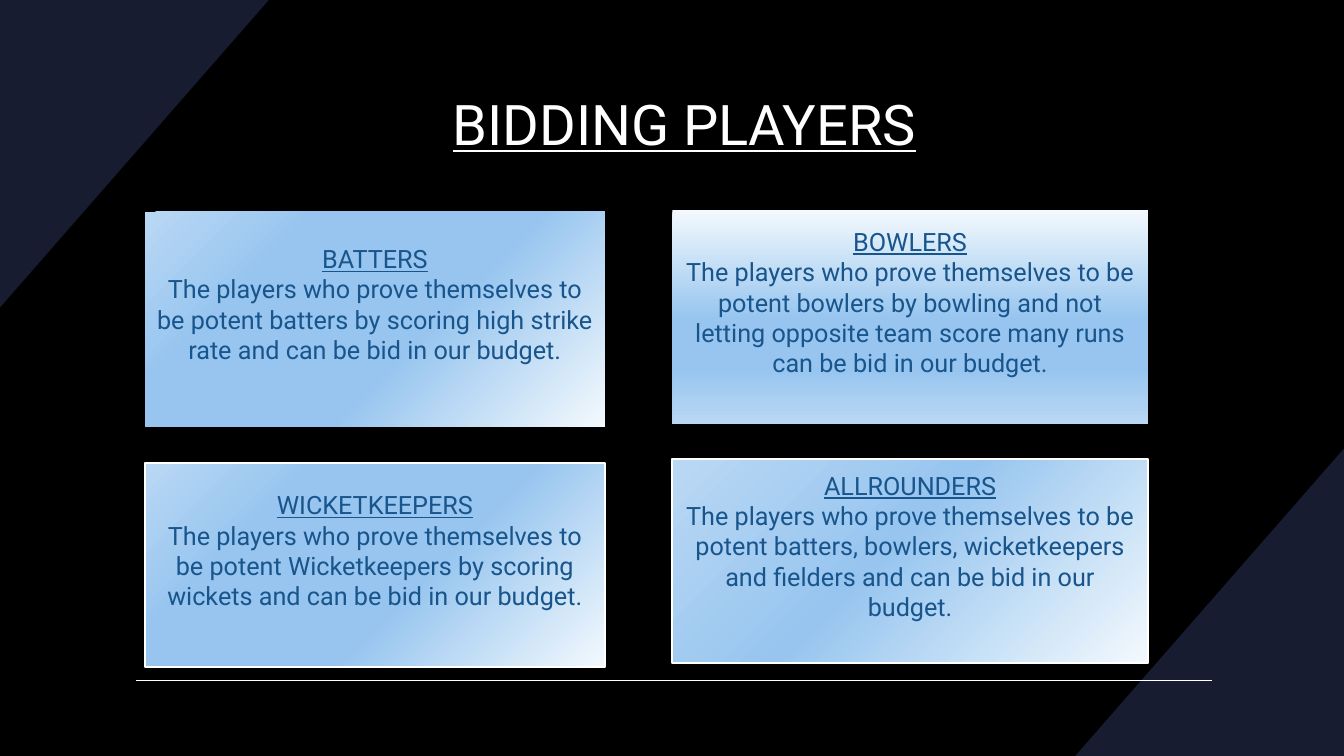
from lxml.etree import SubElement
from pptx import Presentation
from pptx.dml.color import RGBColor
from pptx.enum.shapes import MSO_CONNECTOR as Connector, MSO_SHAPE as Preset
from pptx.enum.text import MSO_ANCHOR as Anchor, PP_ALIGN as Align
from pptx.oxml import parse_xml
from pptx.oxml.ns import nsdecls, qn
from pptx.util import Pt

WIDTH, HEIGHT = 960, 540
LINE_HEIGHT = 21.6


def rgb(value):
    return RGBColor.from_string(value)


class Deck:
    font = "Roboto"
    background, corner, white, ink = "000000", "181C30", "FFFFFF", "18558C"
    pale, sky, mist = "F3F9FD", "97C5EF", "BAD8F4"

    def __init__(self):
        self.show = Presentation()
        self.show.slide_width, self.show.slide_height = Pt(WIDTH), Pt(HEIGHT)
        self.slide = self.show.slides.add_slide(self.show.slide_layouts[6])
        fill = self.slide.background.fill
        fill.solid()
        fill.fore_color.rgb = rgb(self.background)

    def triangle(self, *corners):
        start, *others = [(Pt(x), Pt(y)) for x, y in corners]
        builder = self.slide.shapes.build_freeform(*start)
        builder.add_line_segments(others, close=True)
        wedge = builder.convert_to_shape()
        wedge.shadow.inherit = False
        wedge.fill.solid()
        wedge.fill.fore_color.rgb = rgb(self.corner)
        wedge.line.fill.background()

    def rule(self, left, right, y):
        """Draw a thin horizontal line."""
        line = self.slide.shapes.add_connector(
            Connector.STRAIGHT, Pt(left), Pt(y), Pt(right), Pt(y))
        line.line.color.rgb = rgb(self.white)
        line.line.width = Pt(1)
        SubElement(line._element.spPr, qn("a:effectLst"))

    def add_words(self, paragraph, words, size, color, underline=False):
        paragraph.alignment = Align.CENTER
        run = paragraph.add_run()
        run.text = words
        run.font.name, run.font.size = self.font, Pt(size)
        run.font.color.rgb = rgb(color)
        run.font.underline = underline

    def title(self, words, left, top, width, height):
        box = self.slide.shapes.add_textbox(Pt(left), Pt(top), Pt(width), Pt(height))
        frame = box.text_frame
        frame.word_wrap = True
        frame.vertical_anchor = Anchor.MIDDLE
        self.add_words(frame.paragraphs[0], words, 40, self.white, underline=True)

    def gradient(self, shape, sky_stops, radial):
        """Fade from pale through sky blue to mist, from a corner or downwards."""
        stops = [(0, self.pale), *((at, self.sky) for at in sky_stops), (100, self.mist)]
        listed = "".join(f'<a:gs pos="{at * 1000}"><a:srgbClr val="{color}"/></a:gs>'
                         for at, color in stops)
        if radial:
            course = ('<a:path path="circle"><a:fillToRect l="100000" t="100000"/></a:path>'
                      '<a:tileRect r="-100000" b="-100000"/>')
        else:
            course = '<a:lin ang="5400000" scaled="0"/>'
        shape.fill.gradient()
        default = shape._element.spPr.find(qn("a:gradFill"))
        default.getparent().replace(default, parse_xml(
            f'<a:gradFill {nsdecls("a")} rotWithShape="1">'
            f'<a:gsLst>{listed}</a:gsLst>{course}</a:gradFill>'))

    def card(self, box, heading, body, sky_stops, radial=True, outlined=False):
        panel = self.slide.shapes.add_shape(Preset.RECTANGLE, *map(Pt, box))
        panel.shadow.inherit = False
        self.gradient(panel, sky_stops, radial)
        if outlined:
            panel.line.color.rgb = rgb(self.white)
            panel.line.width = Pt(1.5)
        else:
            panel.line.fill.background()
        frame = panel.text_frame
        frame.word_wrap = True
        frame.vertical_anchor = Anchor.MIDDLE
        frame.margin_bottom = Pt(3.6 + LINE_HEIGHT)
        self.add_words(frame.paragraphs[0], heading, 18, self.ink, underline=True)
        self.add_words(frame.add_paragraph(), body, 18, self.ink)


def main():
    deck = Deck()
    across, down = 192, 219.6
    deck.triangle((WIDTH, HEIGHT - down), (WIDTH, HEIGHT), (WIDTH - across, HEIGHT))
    deck.triangle((0, down), (0, 0), (across, 0))
    deck.rule(97.2, 865.4, 486)
    deck.title("BIDDING PLAYERS", 167, 51.1, 643.7, 73.4)

    left, left_width = 103.6, 328.4
    right, right_width = 480.2, 339.8
    upper_height, lower_height = 153.4, 145.6
    deck.card((left, 151.3, left_width, upper_height), "BATTERS",
              "The players who prove themselves to be potent batters by scoring "
              "high strike rate and can be bid in our budget.", (41, 74))
    deck.card((right, 149.8, right_width, upper_height), "BOWLERS",
              "The players who prove themselves to be potent bowlers by bowling and not "
              "letting opposite team score many runs can be bid in our budget.",
              (51, 74), radial=False)
    deck.card((left, 331, left_width, lower_height), "WICKETKEEPERS",
              "The players who prove themselves to be potent Wicketkeepers by scoring "
              "wickets and can be bid in our budget.", (41, 74), outlined=True)
    deck.card((right, 327.9, right_width, lower_height), "ALLROUNDERS",
              "The players who prove themselves to be potent batters, bowlers, "
              "wicketkeepers and fielders and can be bid in our budget.",
              (55,), outlined=True)
    deck.show.save("out.pptx")


if __name__ == "__main__":
    main()
